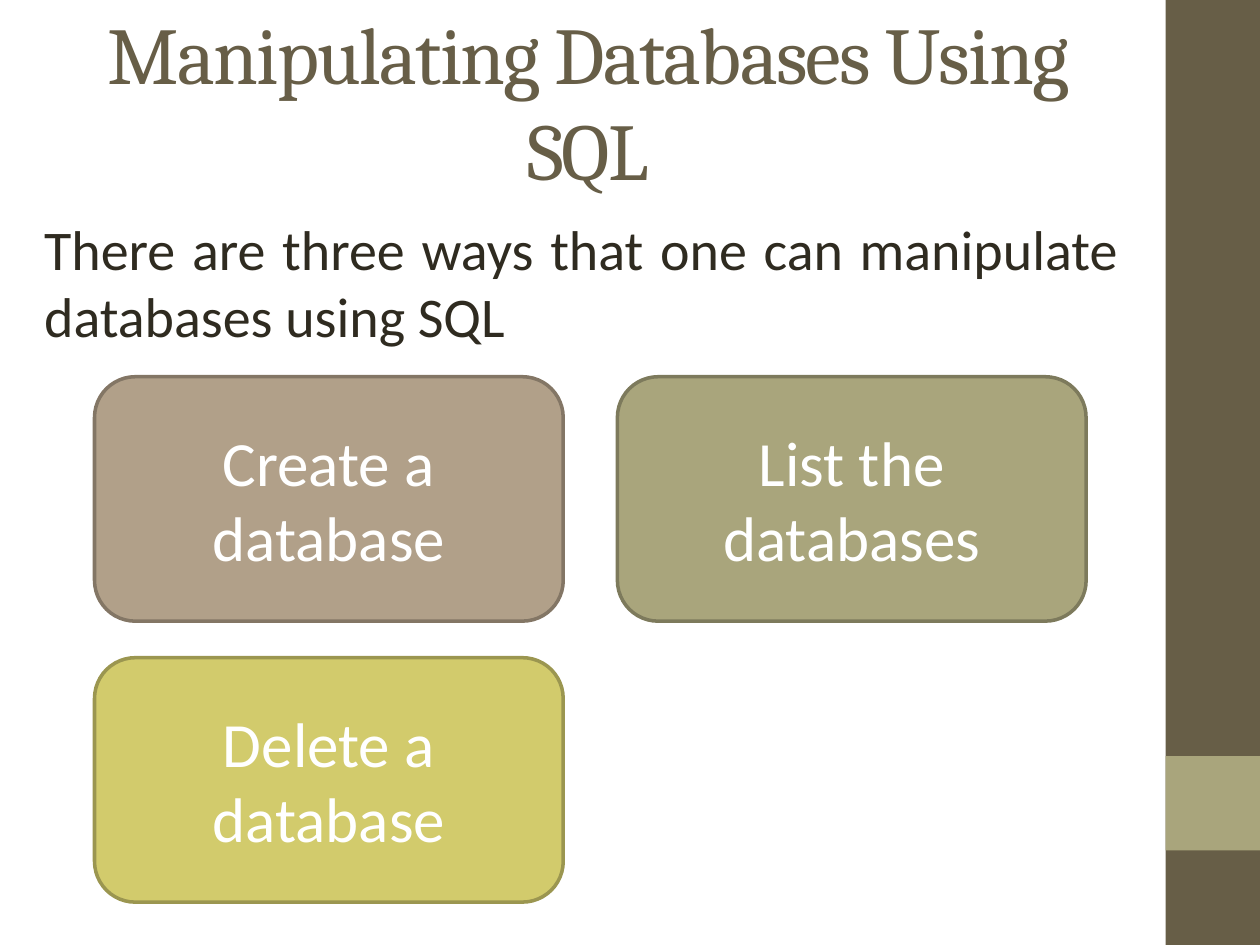
from pptx import Presentation
from pptx.dml.color import RGBColor
from pptx.enum.shapes import MSO_SHAPE
from pptx.enum.text import MSO_ANCHOR, MSO_AUTO_SIZE, PP_ALIGN
from pptx.oxml.ns import qn
from pptx.util import Inches, Pt

COLUMNS, ROWS = 40, 30  # square grid units on a 10 x 7.5 inch slide

BROWN = RGBColor(0x67, 0x5E, 0x47)
SAGE = RGBColor(0xA9, 0xA5, 0x7C)
SAGE_EDGE = RGBColor(0x7D, 0x7A, 0x5C)
TAN = RGBColor(0xB1, 0xA0, 0x89)
TAN_EDGE = RGBColor(0x83, 0x76, 0x65)
LIME = RGBColor(0xD2, 0xCB, 0x6C)
LIME_EDGE = RGBColor(0x9B, 0x96, 0x50)
INK = RGBColor(0x2F, 0x2B, 0x20)
WHITE = RGBColor(0xFF, 0xFF, 0xFF)


class SlideBuilder:
    heading_font = "Cambria"
    text_font = "Calibri"

    def __init__(self, deck):
        self.unit_x = deck.slide_width / COLUMNS
        self.unit_y = deck.slide_height / ROWS
        self.slide = deck.slides.add_slide(deck.slide_layouts[1])

    def place(self, column, row, columns, rows):
        return (round(column * self.unit_x), round(row * self.unit_y),
                round(columns * self.unit_x), round(rows * self.unit_y))

    def set_text(self, shape, text, font_name, size, color, align, anchor):
        frame = shape.text_frame
        frame.text = text
        frame.word_wrap = True
        frame.auto_size = MSO_AUTO_SIZE.NONE
        frame.vertical_anchor = anchor
        paragraph = frame.paragraphs[0]
        paragraph.alignment = align
        paragraph.space_before = Pt(0)
        font = paragraph.runs[0].font
        font.name, font.size = font_name, Pt(size)
        font.color.rgb = color
        return paragraph

    def fill_placeholder(self, placeholder, grid, *style):
        (placeholder.left, placeholder.top,
         placeholder.width, placeholder.height) = self.place(*grid)
        return self.set_text(placeholder, *style)

    def title(self, text, grid):
        paragraph = self.fill_placeholder(
            self.slide.shapes.title, grid, text, self.heading_font, 46,
            BROWN, PP_ALIGN.CENTER, MSO_ANCHOR.MIDDLE)
        # Tighten the letters by one point
        paragraph.runs[0]._r.get_or_add_rPr().set("spc", "-100")

    def body(self, text, grid):
        paragraph = self.fill_placeholder(
            self.slide.placeholders[1], grid, text, self.text_font, 32,
            INK, PP_ALIGN.JUSTIFY, MSO_ANCHOR.TOP)
        # Plain paragraph: no bullet and no hanging indent
        properties = paragraph._p.get_or_add_pPr()
        properties.set("marL", "0")
        properties.set("indent", "0")
        properties.append(properties.makeelement(qn("a:buNone"), {}))

    def block(self, grid, fill, preset=MSO_SHAPE.RECTANGLE):
        block = self.slide.shapes.add_shape(preset, *self.place(*grid))
        block.shadow.inherit = False
        block.fill.solid()
        block.fill.fore_color.rgb = fill
        block.line.fill.background()
        return block

    def card(self, text, grid, fill, edge):
        card = self.block(grid, fill, MSO_SHAPE.ROUNDED_RECTANGLE)
        card.line.color.rgb = edge
        card.line.width = Pt(2)
        self.set_text(card, text, self.text_font, 36, WHITE,
                      PP_ALIGN.CENTER, MSO_ANCHOR.MIDDLE)


def main():
    deck = Presentation()
    deck.slide_width, deck.slide_height = Inches(10), Inches(7.5)
    builder = SlideBuilder(deck)

    # Side band with its accent square
    builder.block((37, 0, 3, ROWS), BROWN)
    builder.block((37, 24, 3, 3), SAGE)

    # Heading and introduction
    builder.title("Manipulating Databases Using SQL", (2, 0.68, 33.32, 5))
    builder.body("There are three ways that one can manipulate databases using SQL",
                 (1, 6.6, 34.92, 4.72))

    # Operations, two to a row
    operations = [
        ("Create a database", TAN, TAN_EDGE),
        ("List the databases", SAGE, SAGE_EDGE),
        ("Delete a database", LIME, LIME_EDGE),
    ]
    for index, (operation, fill, edge) in enumerate(operations):
        row, column = divmod(index, 2)
        builder.card(operation, (3 + column * 16.6, 11.96 + row * 8.92, 14.88, 7.76),
                     fill, edge)

    deck.save("out.pptx")


if __name__ == "__main__":
    main()
